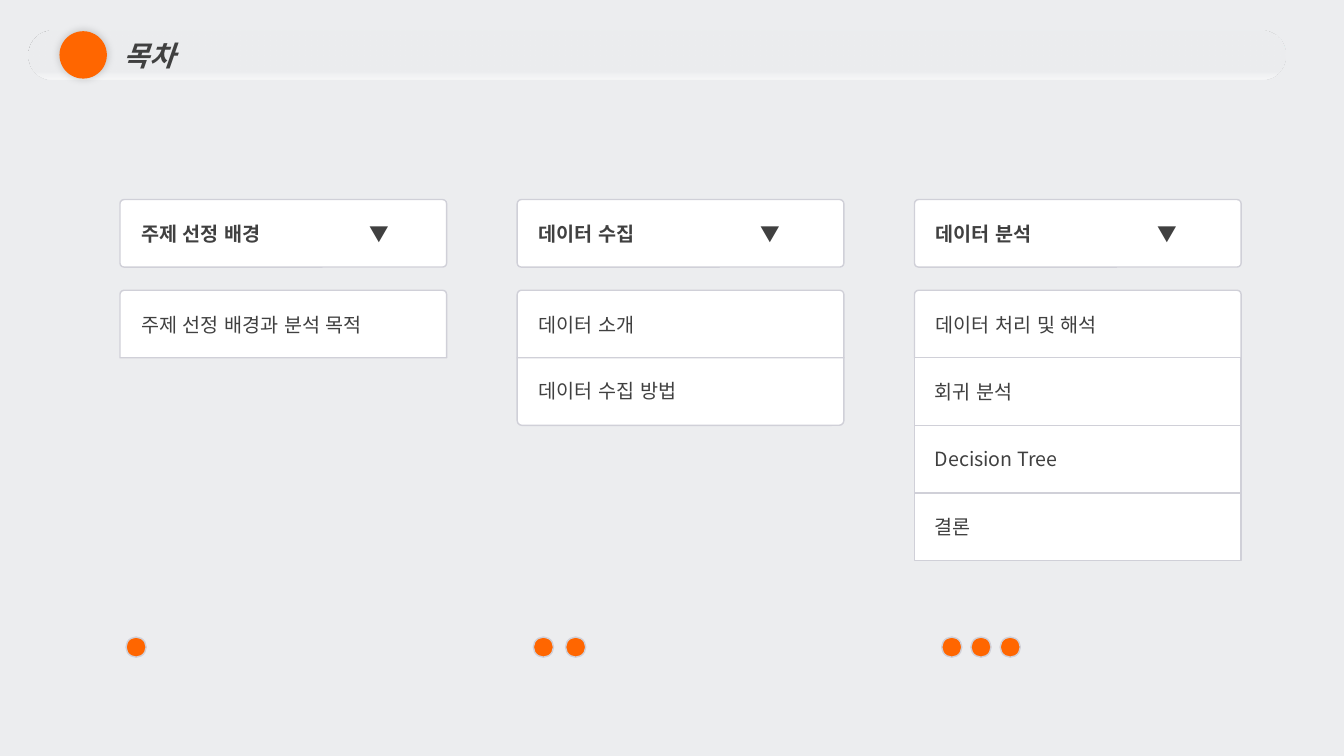
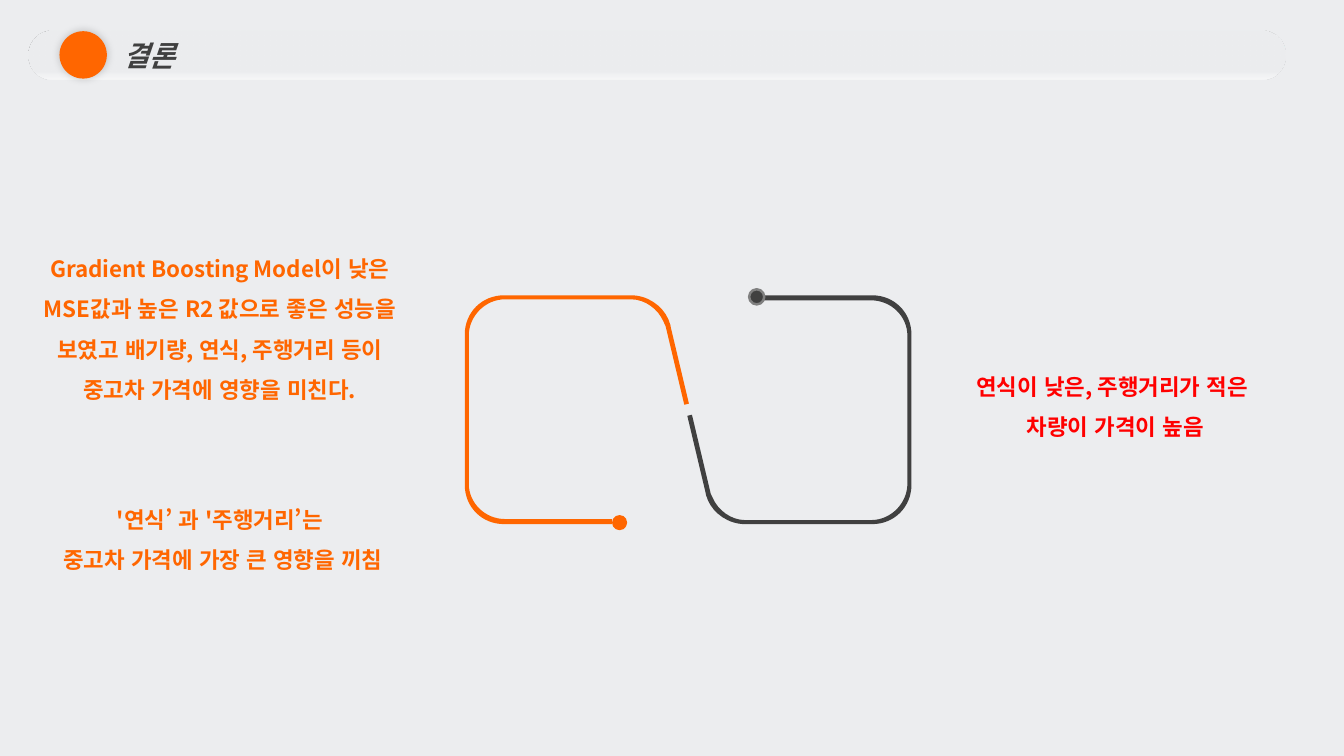
from dataclasses import dataclass

from lxml.etree import SubElement as Sub
from pptx import Presentation
from pptx.dml.color import RGBColor as Rgb
from pptx.enum.lang import MSO_LANGUAGE_ID as Lang
from pptx.enum.shapes import MSO_CONNECTOR as Link, MSO_SHAPE as Kind
from pptx.enum.text import MSO_ANCHOR as Anchor, MSO_AUTO_SIZE as Fit, PP_ALIGN as Align
from pptx.oxml.ns import qn
from pptx.util import Inches, Pt


@dataclass(frozen=True)
class Theme:
    """Colours, font and type sizes of the deck."""
    back: str = "ECEDEF"
    white: str = "FFFFFF"
    ink: str = "404040"
    accent: str = "FF6600"
    alert: str = "FF0000"
    edge: str = "D0D0D8"
    ring: str = "808080"
    font: str = "Noto Sans CJK KR"
    title: int = 20
    body: int = 16
    label: int = 14


LOOK = Theme()
CARD_W, CARD_H, PITCH = 3.24, 0.67, 3.94
COLUMNS = [
    ("주제 선정 배경", 2.26, ["주제 선정 배경과 분석 목적"], 0, 1.25, 0.32),
    ("데이터 수집", 2.2, ["데이터 소개", "데이터 수집 방법"], 0.07, 5.29, 0.32),
    ("데이터 분석", 2.2, ["데이터 처리 및 해석", "회귀 분석", "Decision Tree", "결론"], 0, 9.34, 0.29),
]
NOTES = [
    (0.19, 4.84, 3.98, 0.86, LOOK.accent,
     ["'연식’ 과 '주행거리’는", " 중고차 가격에 가장 큰 영향을 끼침"]),
    (9.4, 3.52, 3.26, 0.86, LOOK.alert,
     ["연식이 낮은, 주행거리가 적은", " 차량이 가격이 높음"]),
    (0.19, 2.35, 3.98, 1.66, LOOK.accent,
     ["Gradient Boosting Model이 낮은 MSE값과 높은 R2 값으로 좋은 성능을 "
      "보였고 배기량, 연식, 주행거리 등이 중고차 가격에 영향을 미친다."]),
]
START = (5, 2.93)
TRACK = [
    [(6.26, 2.93)],
    [(6.42, 2.93), (6.57, 3.03), (6.63, 3.17)],
    [(6.65, 3.23)],
    [(6.6, 3.23)],
    [(6.58, 3.19)],
    [(6.53, 3.07), (6.4, 2.97), (6.26, 2.97)],
    [(5.01, 2.97)],
    [(4.81, 2.97), (4.65, 3.14), (4.65, 3.33)],
    [(4.65, 4.8)],
    [(4.65, 4.99), (4.81, 5.15), (5.01, 5.15)],
    [(6.07, 5.15)],
    [(6.07, 5.2)],
    [(5, 5.2)],
    [(4.78, 5.2), (4.61, 5.03), (4.61, 4.81)],
    [(4.61, 3.32)],
    [(4.61, 3.1), (4.78, 2.93), START],
]


def color(code):
    """Turn a hex code into a colour."""
    return Rgb.from_string(code)


def style(para, size, code, bold=False, italic=False):
    """Set the font of a whole paragraph."""
    font = para.font
    font.size, font.bold, font.italic = Pt(size), bold, italic
    font.color.rgb = color(code)
    font.name = LOOK.font
    font.language_id = Lang.KOREAN


def paint(item, fill, edge=None, width=1):
    """Give a shape its fill and line, without shadow."""
    item.shadow.inherit = False
    if fill:
        item.fill.solid()
        item.fill.fore_color.rgb = color(fill)
    if edge:
        item.line.color.rgb = color(edge)
        item.line.width = Pt(width)
    else:
        item.line.fill.background()


def shape(host, kind, box, fill=None, edge=None, width=1):
    """Add a flat preset shape."""
    item = host.shapes.add_shape(kind, *map(Inches, box))
    paint(item, fill, edge, width)
    return item


def alpha(node, share):
    """Give a colour element an opacity in percent."""
    Sub(node, qn("a:alpha"), val=str(share * 1000))


def glow(item):
    """Add a soft dark shadow around a shape."""
    effect = item._element.spPr.find(qn("a:effectLst"))
    shade = Sub(effect, qn("a:outerShdw"), blurRad=str(Pt(6)), dist="0",
                dir=str(315 * 60000), algn="ctr", rotWithShape="0")
    alpha(Sub(shade, qn("a:srgbClr"), val="000000"), 20)


def band(slide, text):
    """Draw the title band with its disc."""
    bar = shape(slide, Kind.ROUNDED_RECTANGLE, (0.28, 0.3, 12.47, 0.49))
    bar.adjustments[0] = 0.5
    bar.fill.gradient()
    bar.fill.gradient_angle = 90
    for stop, code, place in zip(bar.fill.gradient_stops, (LOOK.white, LOOK.back), (0, 0.17)):
        stop.color.rgb = color(code)
        stop.position = place
    alpha(next(bar._element.spPr.iter(qn("a:srgbClr"))), 50)
    frame = bar.text_frame
    frame.vertical_anchor = Anchor.MIDDLE
    para = frame.paragraphs[0]
    para.text, para.alignment = text, Align.LEFT
    rule = para._p.get_or_add_pPr()
    rule.set("marL", str(Inches(0.78)))
    rule.set("indent", "0")
    style(para, LOOK.title, LOOK.ink, True, True)
    glow(shape(slide, Kind.OVAL, (0.59, 0.31, 0.47, 0.47), LOOK.accent))


def card(slide, kind, left, top, text, adjust, tab=None):
    """Draw a bordered box with left text and an optional tab stop."""
    item = shape(slide, kind, (left, top, CARD_W, CARD_H), LOOK.white, LOOK.edge)
    for index, value in enumerate(adjust):
        item.adjustments[index] = value
    frame = item.text_frame
    frame.margin_left = Inches(0.2)
    frame.vertical_anchor = Anchor.MIDDLE
    para = frame.paragraphs[0]
    para.text, para.alignment = text, Align.LEFT
    if tab:
        tabs = Sub(para._p.get_or_add_pPr(), qn("a:tabLst"))
        Sub(tabs, qn("a:tab"), pos=str(Inches(tab)), algn="l")
    style(para, LOOK.label, LOOK.ink, bool(tab))


def note(slide, left, top, width, height, code, lines):
    """Add a centred bold text box."""
    frame = slide.shapes.add_textbox(*map(Inches, (left, top, width, height))).text_frame
    frame.word_wrap = True
    frame.auto_size = Fit.SHAPE_TO_FIT_TEXT
    for index, line in enumerate(lines):
        para = frame.add_paragraph() if index else frame.paragraphs[0]
        para.text, para.alignment, para.line_spacing = line, Align.CENTER, 1.5
        style(para, LOOK.body, code, True)


def bend(item, parts):
    """Join each three-point part of an outline into one curve."""
    steps = iter(list(item._element.iter(qn("a:lnTo"))))
    for part in parts:
        first, *rest = [next(steps) for _ in part]
        if rest:
            curve = first.makeelement(qn("a:cubicBezTo"))
            first.addprevious(curve)
            for step in (first, *rest):
                curve.append(step[0])
                step.getparent().remove(step)


def hook(slide, code, turn, edge=None):
    """Draw half of the loop, turned half round on request."""
    def spot(x, y):
        """Place a point on the slide."""
        return (Inches(13.65 - x), Inches(8.13 - y)) if turn else (Inches(x), Inches(y))

    group = slide.shapes.add_group_shape()
    build = group.shapes.build_freeform(*spot(*START), scale=1.0)
    build.add_line_segments([spot(*point) for part in TRACK for point in part])
    loop = build.convert_to_shape()
    paint(loop, code)
    bend(loop, TRACK)
    tail = group.shapes.add_connector(Link.STRAIGHT, *spot(6.62, 3.21), *spot(6.81, 4.01))
    Sub(tail._element.spPr, qn("a:effectLst"))
    tail.line.color.rgb = color(code)
    tail.line.width = Pt(3.4)
    corner = (7.43, 2.87) if turn else (6.07, 5.11)
    shape(group, Kind.OVAL, (*corner, 0.15, 0.15), code, edge, 1.75)


def page(deck, title):
    """Add a slide with the shared background and band."""
    slide = deck.slides.add_slide(deck.slide_layouts[6])
    slide.background.fill.solid()
    slide.background.fill.fore_color.rgb = color(LOOK.back)
    band(slide, title)
    return slide


def agenda(deck):
    """Build the contents slide."""
    slide = page(deck, "목차")
    for col, (head, tab, rows, foot, start, gap) in enumerate(COLUMNS):
        left = 1.19 + col * PITCH
        card(slide, Kind.ROUNDED_RECTANGLE, left, 1.98, f"{head}\t▼", [0.06], tab)
        for row, text in enumerate(rows):
            ends = [0 if row else 0.06, foot if row == len(rows) - 1 else 0]
            card(slide, Kind.ROUND_2_SAME_RECTANGLE, left, 2.88 + row * CARD_H, text, ends)
        for dot in range(col + 1):
            shape(slide, Kind.OVAL, (start + dot * gap, 6.32, 0.2, 0.2), LOOK.accent, LOOK.edge)


def ending(deck):
    """Build the conclusion slide."""
    slide = page(deck, "결론")
    hook(slide, LOOK.accent, False)
    hook(slide, LOOK.ink, True, LOOK.ring)
    for item in NOTES:
        note(slide, *item)


def main():
    """Build and save the deck."""
    deck = Presentation()
    deck.slide_width, deck.slide_height = Inches(13.33), Inches(7.5)
    agenda(deck)
    ending(deck)
    deck.save("out.pptx")


if __name__ == "__main__":
    main()
